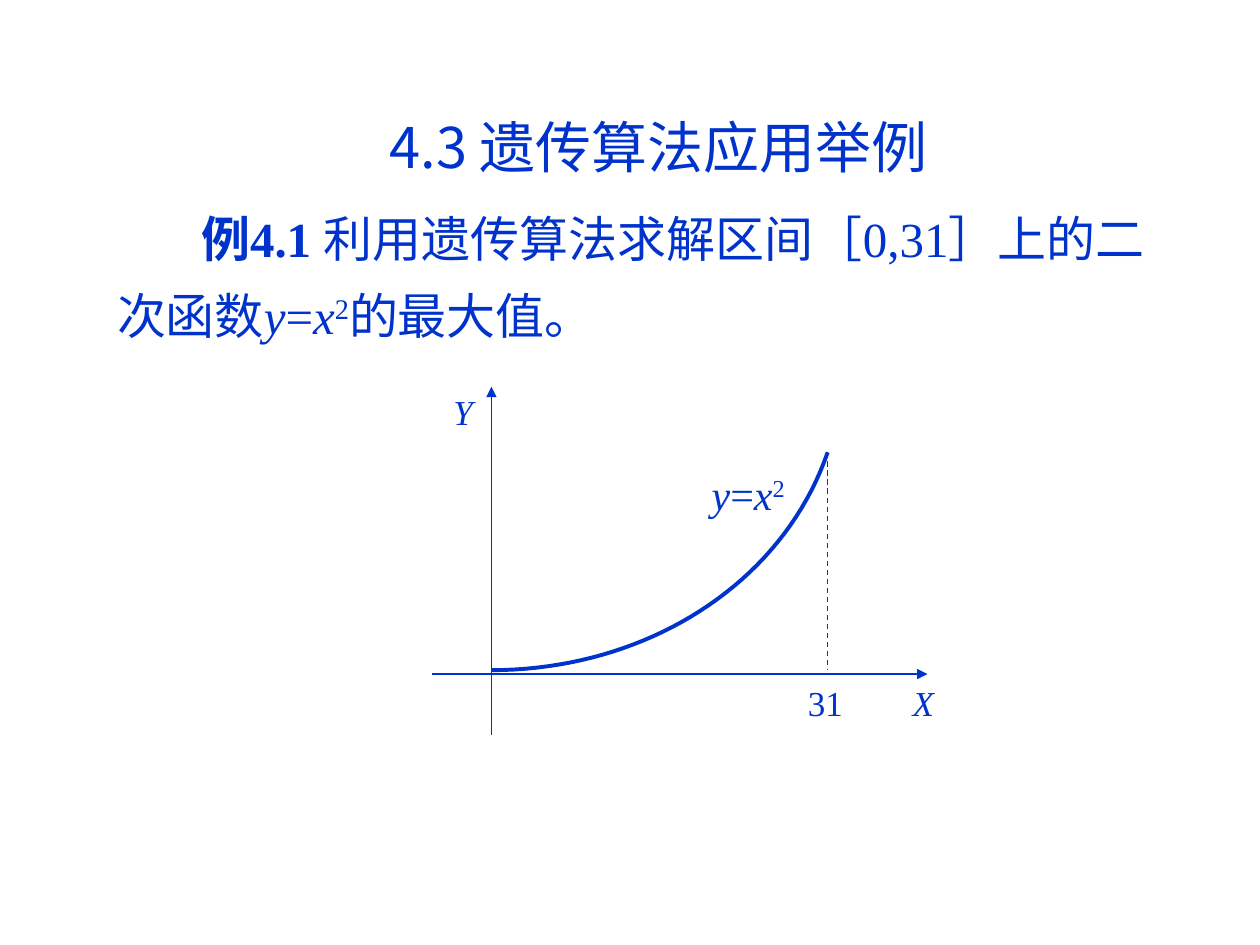
from lxml.etree import SubElement
from pptx import Presentation
from pptx.dml.color import RGBColor
from pptx.enum.dml import MSO_LINE_DASH_STYLE as DASH
from pptx.enum.shapes import MSO_CONNECTOR as CONN
from pptx.enum.text import MSO_ANCHOR as ANCHOR, MSO_AUTO_SIZE as FIT, PP_ALIGN as ALIGN
from pptx.oxml.ns import qn
from pptx.util import Pt

BLUE = "0033CC"
CJK = "Noto Sans CJK SC"
LATIN = "Times New Roman"
ORIGIN_X, CURVE_Y, AXIS_Y = 280.8, 383, 385.2
END_X, END_Y = 473, 258.5
SQUARE = [("y", "i"), ("=", ""), ("x", "i"), ("2", "^")]  # y = x squared


def color(value):
    return RGBColor.from_string(value)


def add_run(p, text, size, style="", font=LATIN):
    """Style letters: b bold, i italic, ^ superscript."""
    r = p.add_run()
    r.text = text
    r.font.size = Pt(size)
    r.font.name = font
    r.font.bold = "b" in style
    r.font.italic = "i" in style
    r.font.color.rgb = color(BLUE)
    rPr = r.font._element
    SubElement(rPr, qn("a:ea")).set("typeface", CJK)
    if "^" in style:
        rPr.set("baseline", "30000")


def add_text(s, box, runs, size, before):
    sp = s.shapes.add_textbox(*map(Pt, box))
    tf = sp.text_frame
    tf.word_wrap = True
    tf.auto_size = FIT.SHAPE_TO_FIT_TEXT
    p = tf.paragraphs[0]
    p.space_before = Pt(before)
    for text, style in runs:
        add_run(p, text, size, style)
    return p


def set_title(s, box, text):
    sp = s.shapes.title
    sp.left, sp.top, sp.width, sp.height = map(Pt, box)
    tf = sp.text_frame
    tf.word_wrap = False
    tf.auto_size = FIT.NONE
    tf.vertical_anchor = ANCHOR.TOP
    p = tf.paragraphs[0]
    p.alignment = ALIGN.LEFT
    add_run(p, text, 32, font=CJK)


def add_line(s, start, end, arrow=False, dash=None):
    c = s.shapes.add_connector(CONN.STRAIGHT, *map(Pt, start + end))
    c.line.color.rgb = color(BLUE)
    c.line.width = Pt(0.75)
    if dash:
        c.line.dash_style = dash
    if arrow:
        SubElement(c.line._get_or_add_ln(), qn("a:tailEnd")).set("type", "triangle")
    SubElement(c._element.spPr, qn("a:effectLst"))


def bezier(a, b, c, d, steps=40):
    """Points along a cubic curve from a to d with controls b and c."""
    for i in range(steps + 1):
        t = i / steps
        u = 1 - t
        weights = (u**3, 3 * u * u * t, 3 * u * t * t, t**3)
        yield tuple(sum(w * q[k] for w, q in zip(weights, (a, b, c, d))) for k in (0, 1))


def add_curve(s, points):
    start, *rest = [tuple(map(Pt, point)) for point in points]
    builder = s.shapes.build_freeform(*start)
    builder.add_line_segments(rest, close=False)
    sp = builder.convert_to_shape()
    sp.shadow.inherit = False
    sp.fill.background()
    sp.line.color.rgb = color(BLUE)
    sp.line.width = Pt(2.25)


def add_graph(s):
    add_line(s, (247, AXIS_Y), (530, AXIS_Y), arrow=True)
    add_line(s, (ORIGIN_X, 420), (ORIGIN_X, 221), arrow=True)
    add_line(s, (END_X, END_Y), (END_X, CURVE_Y), dash=DASH.DASH)
    add_curve(s, bezier((ORIGIN_X, CURVE_Y), (369, CURVE_Y), (447, 334), (END_X, END_Y)))
    add_text(s, (399.6, 264.2, 62.6, 36), SQUARE, 24, 15)
    for left, top, width, text, style in (
        (252, 219.6, 24, "Y", "i"),
        (454.5, 386, 40, "31", ""),
        (514.5, 386, 30, "X", "i"),
    ):
        add_text(s, (left, top, width, 31.7), [(text, style)], 20, 12.5)


def main():
    prs = Presentation()
    prs.slide_width, prs.slide_height = Pt(720), Pt(540)
    s = prs.slides.add_slide(prs.slide_layouts[5])
    set_title(s, (215.3, 60.5, 337, 46), "4.3 遗传算法应用举例")
    example = [("例4.1 ", "b"), ("利用遗传算法求解区间［0,31］上的二次函数", ""),
               *SQUARE, ("的最大值。", "")]
    p = add_text(s, (59.8, 105.8, 601.2, 95), example, 28, 15)
    p.alignment = ALIGN.JUSTIFY
    p.line_spacing = 1.3
    p._p.get_or_add_pPr().set("indent", str(Pt(48)))
    add_graph(s)
    prs.save("out.pptx")


if __name__ == "__main__":
    main()
